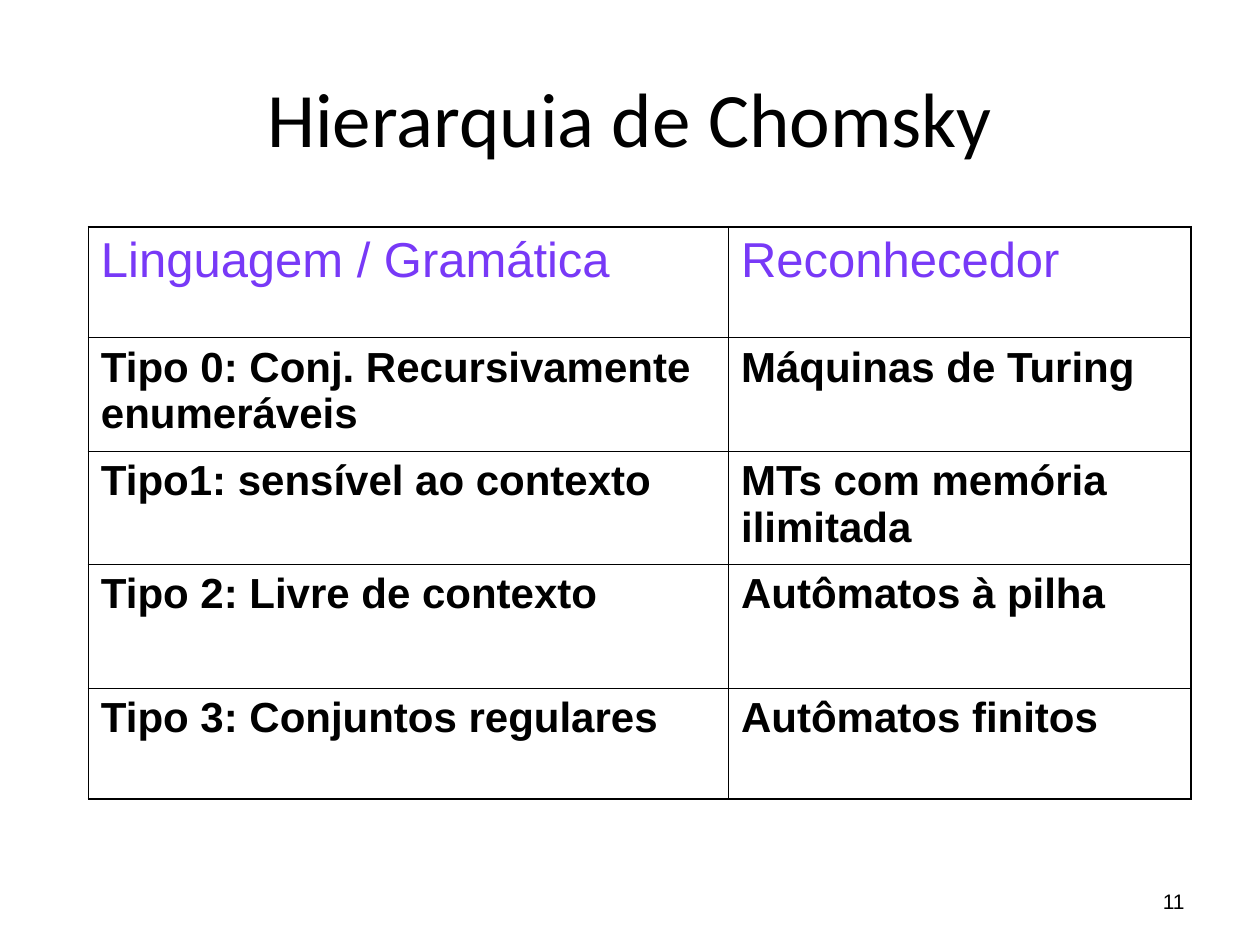
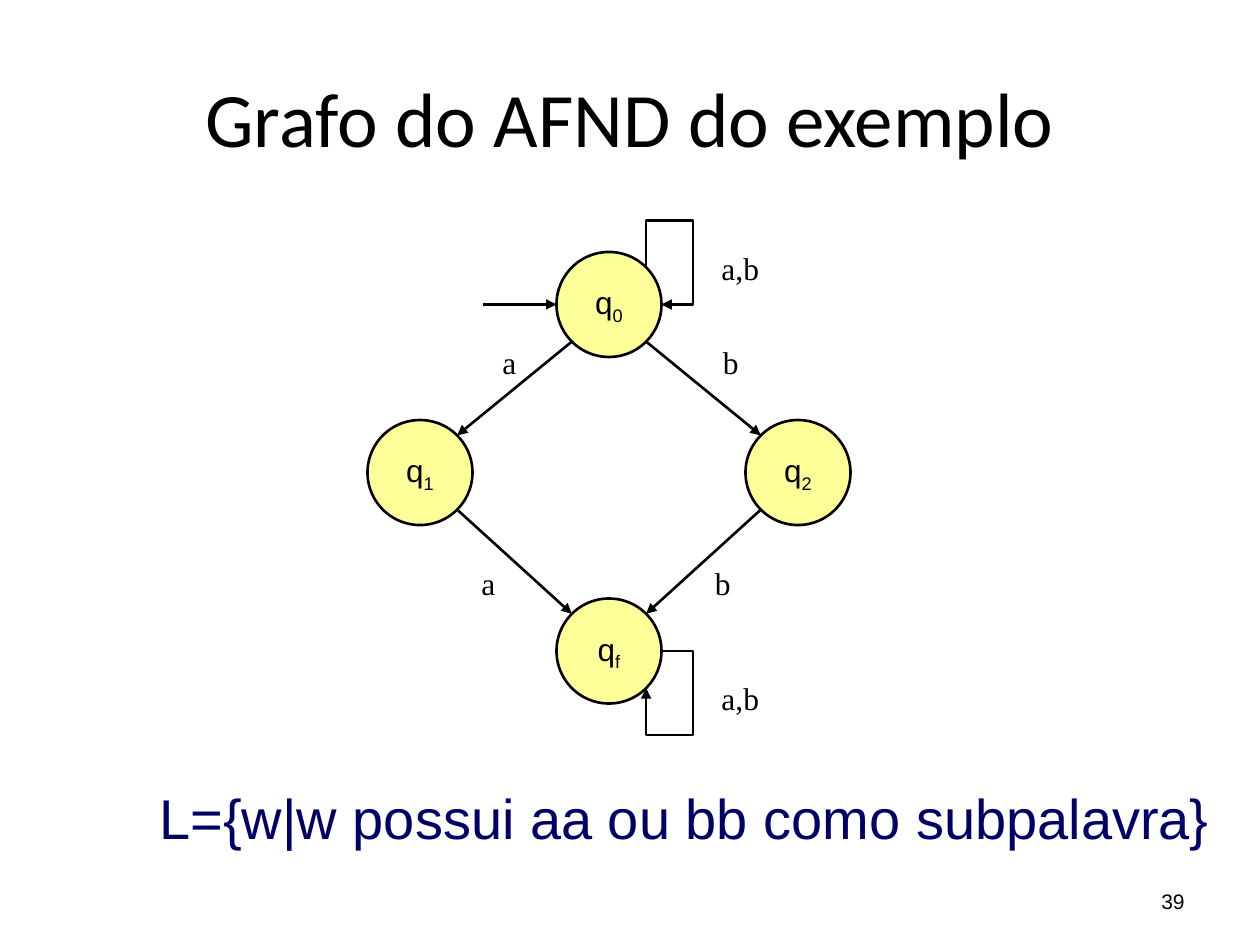
from math import sqrt

from lxml.etree import SubElement
from pptx import Presentation
from pptx.dml.color import RGBColor
from pptx.enum.shapes import MSO_CONNECTOR as Connector, MSO_SHAPE as Preset
from pptx.enum.text import MSO_ANCHOR as Anchor, PP_ALIGN as Align
from pptx.oxml.ns import qn
from pptx.util import Pt

BLACK = RGBColor(0x00, 0x00, 0x00)
VIOLET = RGBColor(0x78, 0x39, 0xF7)
NAVY = RGBColor(0x00, 0x00, 0x66)
YELLOW = RGBColor(0xFF, 0xFF, 0x99)

RADIUS = 30
DIAGONAL = RADIUS / sqrt(2)
LOOP_RIGHT = 396
LOOP_HEIGHT = 48
OUTER_BORDER = 1.08
INNER_BORDER = 0.45

RECOGNIZERS = [
    ("Linguagem / Gramática", "Reconhecedor"),
    ("Tipo 0: Conj. Recursivamente enumeráveis", "Máquinas de Turing"),
    ("Tipo1: sensível ao contexto", "MTs com memória ilimitada"),
    ("Tipo 2: Livre de contexto", "Autômatos à pilha"),
    ("Tipo 3: Conjuntos regulares", "Autômatos finitos"),
]
COLUMN_WIDTHS = [365.8, 264.2]
ROW_HEIGHTS = [63.4, 64.8, 64.8, 70.6, 63.4]

STATES = {"0": (348, 174), "1": (240, 270), "2": (456, 270), "f": (348, 372)}
TRANSITIONS = [("0", "2"), ("2", "f"), ("0", "1"), ("1", "f")]
LABELS = [
    ("a,b", 423, 399),
    ("a,b", 423, 153),
    ("b", 417.5, 207),
    ("b", 413, 333),
    ("a", 279, 333),
    ("a", 291, 207),
]


class Lecture:
    def __init__(self):
        self.deck = Presentation()
        self.deck.slide_width, self.deck.slide_height = Pt(720), Pt(540)
        self.page = None

    def add_page(self, title, number):
        self.page = self.deck.slides.add_slide(self.deck.slide_layouts[6])
        self.text(title, 36, 21.6, 648, 90, 44, font="Calibri", align=Align.CENTER)
        self.text(number, 516, 500.4, 168, 28.8, 12, align=Align.RIGHT)

    def style(self, para, size, font="Arial", color=BLACK, bold=False, align=Align.LEFT):
        para.alignment = align
        para.font.name = font
        para.font.size = Pt(size)
        para.font.bold = bold
        para.font.color.rgb = color

    def text(self, words, left, top, width, height, size, anchor=Anchor.MIDDLE, wrap=True, **look):
        box = self.page.shapes.add_textbox(Pt(left), Pt(top), Pt(width), Pt(height))
        frame = box.text_frame
        frame.word_wrap = wrap
        frame.vertical_anchor = anchor
        frame.text = words
        self.style(frame.paragraphs[0], size, **look)

    def label(self, words, x, y):
        self.text(words, x - 27, y - 21, 54, 42, 18, wrap=False,
                  font="Times New Roman", align=Align.CENTER)

    def state(self, name, x, y):
        circle = self.page.shapes.add_shape(
            Preset.OVAL, Pt(x - RADIUS), Pt(y - RADIUS), Pt(2 * RADIUS), Pt(2 * RADIUS))
        circle.shadow.inherit = False
        circle.fill.solid()
        circle.fill.fore_color.rgb = YELLOW
        circle.line.color.rgb = BLACK
        circle.line.width = Pt(1.5)
        frame = circle.text_frame
        frame.word_wrap = False
        frame.vertical_anchor = Anchor.MIDDLE
        para = frame.paragraphs[0]
        para.add_run().text = "q"
        span = para.add_run()
        span.text = name
        span.font._element.set("baseline", "-25000")
        self.style(para, 18, align=Align.CENTER)

    def arrow_line(self, line):
        line.color.rgb = BLACK
        line.width = Pt(1.5)
        SubElement(line._get_or_add_ln(), qn("a:tailEnd"), type="triangle")

    def arrow(self, start, end):
        link = self.page.shapes.add_connector(
            Connector.STRAIGHT, *(Pt(value) for value in (*start, *end)))
        self.arrow_line(link.line)
        SubElement(link._element.spPr, qn("a:effectLst"))

    def transition(self, source, target):
        side = 1 if target[0] > source[0] else -1
        self.arrow((source[0] + side * DIAGONAL, source[1] + DIAGONAL),
                   (target[0] - side * DIAGONAL, target[1] - DIAGONAL))

    def loop(self, points):
        start, *others = [(Pt(x), Pt(y)) for x, y in points]
        builder = self.page.shapes.build_freeform(*start)
        builder.add_line_segments(others, close=False)
        path = builder.convert_to_shape()
        path.fill.background()
        self.arrow_line(path.line)
        path.shadow.inherit = False

    def border(self, cell, side, width):
        line = SubElement(cell._tc.get_or_add_tcPr(), qn(f"a:ln{side}"), w=str(Pt(width)))
        fill = SubElement(line, qn("a:solidFill"))
        SubElement(fill, qn("a:srgbClr"), val=str(BLACK))

    def table(self, rows, left, top, widths, heights):
        frame = self.page.shapes.add_table(
            len(rows), len(widths), Pt(left), Pt(top), Pt(sum(widths)), Pt(sum(heights)))
        table = frame.table
        table.first_row = table.horz_banding = False
        for column, width in zip(table.columns, widths):
            column.width = Pt(width)
        for row, height in zip(table.rows, heights):
            row.height = Pt(height)
        for r, words in enumerate(rows):
            for c, entry in enumerate(words):
                cell = table.cell(r, c)
                cell.text = entry
                if r == 0:
                    self.style(cell.text_frame.paragraphs[0], 28, color=VIOLET)
                else:
                    self.style(cell.text_frame.paragraphs[0], 24, bold=True)
                edges = {"L": c == 0, "R": c == len(widths) - 1,
                         "T": r == 0, "B": r == len(rows) - 1}
                for side, outer in edges.items():
                    self.border(cell, side, OUTER_BORDER if outer else INNER_BORDER)
                cell.fill.background()


def main():
    lecture = Lecture()

    lecture.add_page("Hierarquia de Chomsky", "11")
    lecture.table(RECOGNIZERS, 50.5, 129.6, COLUMN_WIDTHS, ROW_HEIGHTS)

    lecture.add_page("Grafo do AFND do exemplo", "39")
    for name, center in STATES.items():
        lecture.state(name, *center)
    x, first = STATES["0"]
    last = STATES["f"][1]
    lecture.arrow((276, first), (x - RADIUS, first))
    for source, target in TRANSITIONS:
        lecture.transition(STATES[source], STATES[target])
    lecture.loop([(x + DIAGONAL, first - DIAGONAL), (x + DIAGONAL, first - LOOP_HEIGHT),
                  (LOOP_RIGHT, first - LOOP_HEIGHT), (LOOP_RIGHT, first), (x + RADIUS, first)])
    lecture.loop([(x + RADIUS, last), (LOOP_RIGHT, last), (LOOP_RIGHT, last + LOOP_HEIGHT),
                  (x + DIAGONAL, last + LOOP_HEIGHT), (x + DIAGONAL, last + DIAGONAL)])
    for label in LABELS:
        lecture.label(*label)
    lecture.text("L={w|w possui aa ou bb como subpalavra}", 84, 444, 636, 46, 32,
                 anchor=Anchor.TOP, color=NAVY)

    lecture.deck.save("out.pptx")


if __name__ == "__main__":
    main()
